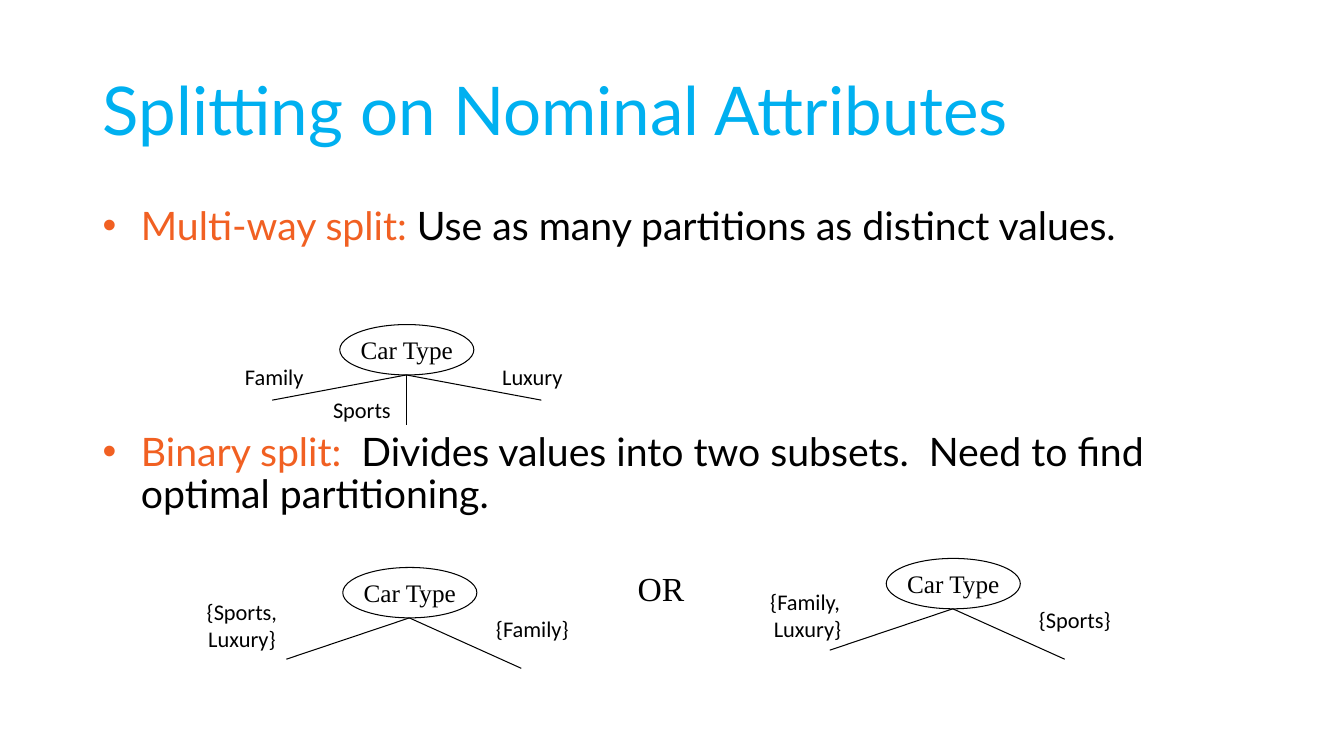
from lxml.etree import SubElement
from pptx import Presentation
from pptx.dml.color import RGBColor
from pptx.enum.shapes import MSO_CONNECTOR, MSO_SHAPE
from pptx.enum.text import MSO_ANCHOR, MSO_AUTO_SIZE, PP_ALIGN
from pptx.oxml.ns import qn
from pptx.util import Pt

PX = 9144
COLORS = {"title": "00B0F0", "accent": "F16022", "ink": "000000", "paper": "FFFFFF"}
OVAL_WIDTH, OVAL_HEIGHT = 133, 50
LABEL_WIDTH, LINE_HEIGHT, LABEL_PADDING = 96, 27, 10
BINARY_ENDS = [(-122, 41), (111, 50)]


def px(*lengths):
    return [length * PX for length in lengths]


def color(name):
    return RGBColor.from_string(COLORS[name])


def add_span(para, text, size, font, ink="ink"):
    span = para.add_run()
    span.text = text
    span.font.size = Pt(size)
    span.font.name = font
    span.font.color.rgb = color(ink)


def add_centered_lines(shape, lines, size, font):
    frame = shape.text_frame
    frame.word_wrap = False
    frame.vertical_anchor = MSO_ANCHOR.MIDDLE
    para = frame.paragraphs[0]
    para.alignment = PP_ALIGN.CENTER
    for index, line in enumerate(lines):
        if index:
            para.add_line_break()
        add_span(para, line, size, font)


def add_title(page, text):
    title = page.shapes.title
    title.left, title.top, title.width, title.height = px(92, 40, 1150, 145)
    frame = title.text_frame
    frame.auto_size = MSO_AUTO_SIZE.NONE
    frame.vertical_anchor = MSO_ANCHOR.MIDDLE
    para = frame.paragraphs[0]
    para.alignment = PP_ALIGN.LEFT
    para.line_spacing = 0.9
    add_span(para, text, 48, "Lato", "title")


def add_bullet(para, lead, body, space_before):
    para.line_spacing = 0.9
    para.space_before = Pt(space_before)
    properties = para._p.get_or_add_pPr()
    properties.set("marL", str(38 * PX))
    properties.set("indent", str(-38 * PX))
    SubElement(properties, qn("a:buFont"), typeface="Arial")
    SubElement(properties, qn("a:buChar"), char="•")
    add_span(para, lead, 28, "Lato", "accent")
    add_span(para, body, 28, "Lato")


def add_bullets(page):
    box = page.shapes.add_textbox(*px(92, 200, 1150, 476))
    frame = box.text_frame
    frame.word_wrap = True
    add_bullet(frame.paragraphs[0], "Multi-way split: ",
               "Use as many partitions as distinct values.", 10)
    add_bullet(frame.add_paragraph(), "Binary split:  ",
               "Divides values into two subsets.  Need to find optimal partitioning.", 131)


def add_oval(shapes, x, y):
    oval = shapes.add_shape(MSO_SHAPE.OVAL, *px(x - OVAL_WIDTH // 2, y - OVAL_HEIGHT,
                                                OVAL_WIDTH, OVAL_HEIGHT))
    oval.shadow.inherit = False
    oval.fill.solid()
    oval.fill.fore_color.rgb = color("paper")
    oval.line.color.rgb = color("ink")
    oval.line.width = Pt(0.75)
    add_centered_lines(oval, ["Car Type"], 18, "Times New Roman")


def add_branch(shapes, x, y, end_x, end_y):
    branch = shapes.add_connector(MSO_CONNECTOR.STRAIGHT, *px(x, y, end_x, end_y))
    branch.line.color.rgb = color("ink")
    branch.line.width = Pt(0.75)
    SubElement(branch._element.spPr, qn("a:effectLst"))


def add_label(shapes, center_x, center_y, lines):
    height = LINE_HEIGHT * len(lines) + LABEL_PADDING
    box = shapes.add_textbox(*px(center_x - LABEL_WIDTH // 2, center_y - height // 2,
                                 LABEL_WIDTH, height))
    add_centered_lines(box, lines, 16, "Calibri")


def add_tree(page, x, y, ends, labels):
    shapes = page.shapes.add_group_shape().shapes
    add_oval(shapes, x, y)
    for across, down in ends:
        add_branch(shapes, x, y, x + across, y + down)
    for across, down, lines in labels:
        add_label(shapes, x + across, y + down, lines)


def main():
    deck = Presentation()
    deck.slide_width, deck.slide_height = px(1333, 750)
    page = deck.slides.add_slide(deck.slide_layouts[5])
    add_title(page, "Splitting on Nominal Attributes")
    add_bullets(page)
    add_tree(page, 403, 372, [(-133, 25), (0, 50), (134, 25)],
             [(-131, 1, ["Family"]), (-44, 34, ["Sports"]), (125, 1, ["Luxury"])])
    add_tree(page, 945, 604, BINARY_ENDS,
             [(-144, 6, ["{Family, ", "Luxury}"]), (121, 10, ["{Sports}"])])
    add_tree(page, 406, 613, BINARY_ENDS,
             [(-166, 7, ["{Sports,", "Luxury}"]), (122, 10, ["{Family}"])])
    choice = page.shapes.add_textbox(*px(622, 558, 67, 50))
    add_centered_lines(choice, ["OR"], 24, "Times New Roman")
    deck.save("out.pptx")


if __name__ == "__main__":
    main()
